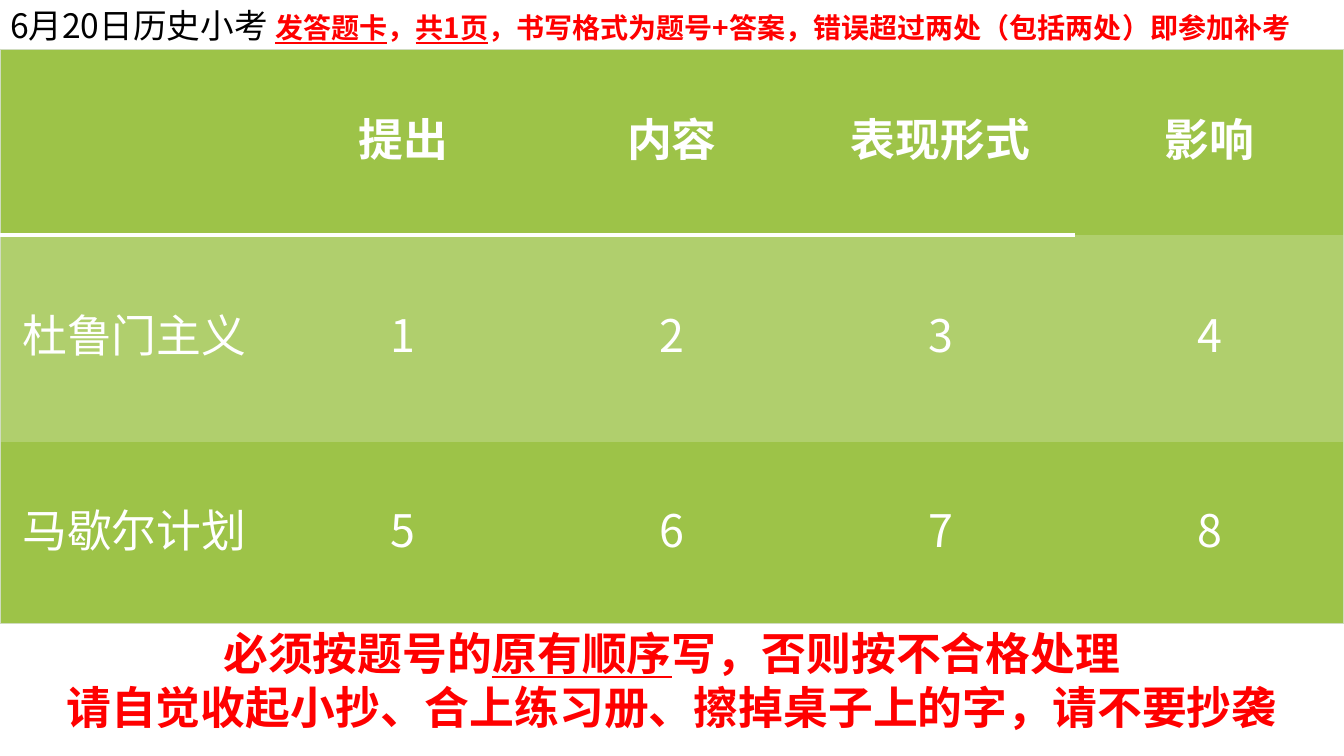
from dataclasses import dataclass

from lxml.etree import SubElement
from pptx import Presentation
from pptx.dml.color import RGBColor
from pptx.enum.text import MSO_ANCHOR, MSO_AUTO_SIZE, PP_ALIGN
from pptx.oxml.ns import qn
from pptx.util import Inches, Pt


@dataclass(frozen=True)
class Theme:
    """Colours, type sizes and font of the slide."""
    font: str = "Noto Sans CJK SC"
    black: str = "000000"
    red: str = "FF0000"
    white: str = "FFFFFF"
    green: str = "9DC348"
    light: str = "B0CF6D"
    edge: str = "D0DCBF"
    head: int = 24
    rule: int = 20
    body: int = 32
    lead: float = 1.2


@dataclass(frozen=True)
class Piece:
    """A run of text with its look."""
    text: str
    size: int
    color: str
    bold: bool = True
    line: bool = False


@dataclass(frozen=True)
class Row:
    """A table row with its height and fill."""
    words: tuple[str, ...]
    high: float
    fill: str
    bold: bool = False


THEME = Theme()
NO_STYLE = "{2D5ABB26-0587-4C30-8999-92F81FD0307C}"
WIDE, HIGH = 13.33, 7.5


def rule(text: str, line: bool = False) -> Piece:
    """Return a red piece of the answer rules."""
    return Piece(text, THEME.rule, THEME.red, line=line)


def warn(text: str, line: bool = False) -> Piece:
    """Return a red piece of the closing warning."""
    return Piece(text, THEME.body, THEME.red, line=line)


TITLE = [[
    Piece("6月20日历史小考 ", THEME.head, THEME.black, bold=False),
    rule("发答题卡", line=True), rule("，"), rule("共1页", line=True),
    rule("，书写格式为题号+答案，错误超过两处（包括两处）即参加补考"),
]]
NOTICE = [
    [warn("必须按题号的"), warn("原有顺序", line=True),
     warn("写，否则按不合格处理")],
    [warn("请自觉收起小抄、合上练习册、擦掉桌子上的字，请不要抄袭")],
]
ROWS = [
    Row(("", "提出", "内容", "表现形式", "影响"), 1.84, THEME.green, True),
    Row(("杜鲁门主义", "1", "2", "3", "4"), 2.06, THEME.light),
    Row(("马歇尔计划", "5", "6", "7", "8"), 1.8, THEME.green),
]


def write(para, pieces: list[Piece], align: PP_ALIGN) -> None:
    """Write the pieces into a paragraph."""
    para.alignment = align
    para.line_spacing = Pt(THEME.lead * max(p.size for p in pieces))
    para.space_before = Pt(0)
    for piece in pieces:
        run = para.add_run()
        run.text = piece.text
        font = run.font
        font.name, font.size = THEME.font, Pt(piece.size)
        font.bold, font.underline = piece.bold, piece.line
        font.color.rgb = RGBColor.from_string(piece.color)
        east = SubElement(run._r.get_or_add_rPr(), qn("a:ea"))
        east.set("typeface", THEME.font)


def fill_box(box, top: float, high: float, lines: list[list[Piece]],
             align: PP_ALIGN) -> None:
    """Place a full-width text shape and write its lines."""
    box.left, box.top = Inches(0), Inches(top)
    box.width, box.height = Inches(WIDE), Inches(high)
    frame = box.text_frame
    frame.word_wrap = True
    frame.auto_size = MSO_AUTO_SIZE.NONE
    frame.vertical_anchor = MSO_ANCHOR.TOP
    for spot, pieces in enumerate(lines):
        para = frame.add_paragraph() if spot else frame.paragraphs[0]
        write(para, pieces, align)


def border(cell, side: str, color: str, width: float) -> None:
    """Draw one side of a cell; sides must come in L, R, T, B order."""
    line = SubElement(cell._tc.get_or_add_tcPr(), qn(f"a:ln{side}"))
    line.set("w", str(Pt(width)))
    solid = SubElement(line, qn("a:solidFill"))
    SubElement(solid, qn("a:srgbClr")).set("val", color)


def frame_cell(cell, row: int, col: int, last: int, end: int) -> None:
    """Draw the outer edge and the white line under the header."""
    sides = {"L": col == 0, "R": col == end, "T": row == 0, "B": row == last}
    for side, outer in sides.items():
        if outer:
            border(cell, side, THEME.edge, 0.75)
        elif side == "B" and row == 0 and col < end:
            border(cell, side, THEME.white, 3)


def add_grid(slide, top: float, rows: list[Row]) -> None:
    """Add the quiz table."""
    count = len(rows[0].words)
    shape = slide.shapes.add_table(
        len(rows), count, Inches(0), Inches(top), Inches(WIDE),
        Inches(sum(row.high for row in rows)))
    table = shape.table
    table._tbl.tblPr.find(qn("a:tableStyleId")).text = NO_STYLE
    for col in table.columns:
        col.width = Inches(WIDE / count)
    for r, row in enumerate(rows):
        table.rows[r].height = Inches(row.high)
        for c, word in enumerate(row.words):
            cell = table.cell(r, c)
            frame_cell(cell, r, c, len(rows) - 1, count - 1)
            cell.fill.solid()
            cell.fill.fore_color.rgb = RGBColor.from_string(row.fill)
            cell.vertical_anchor = MSO_ANCHOR.MIDDLE
            if word:
                piece = Piece(word, THEME.body, THEME.white, row.bold)
                write(cell.text_frame.paragraphs[0], [piece], PP_ALIGN.CENTER)


def main() -> None:
    """Build and save the slide."""
    deck = Presentation()
    deck.slide_width, deck.slide_height = Inches(WIDE), Inches(HIGH)
    slide = deck.slides.add_slide(deck.slide_layouts.get_by_name("Title Only"))
    fill_box(slide.shapes.title, 0, 0.5, TITLE, PP_ALIGN.LEFT)
    box = slide.shapes.add_textbox(0, 0, 0, 0)
    fill_box(box, 6.16, 1.18, NOTICE, PP_ALIGN.CENTER)
    add_grid(slide, 0.49, ROWS)
    deck.save("out.pptx")


main()
